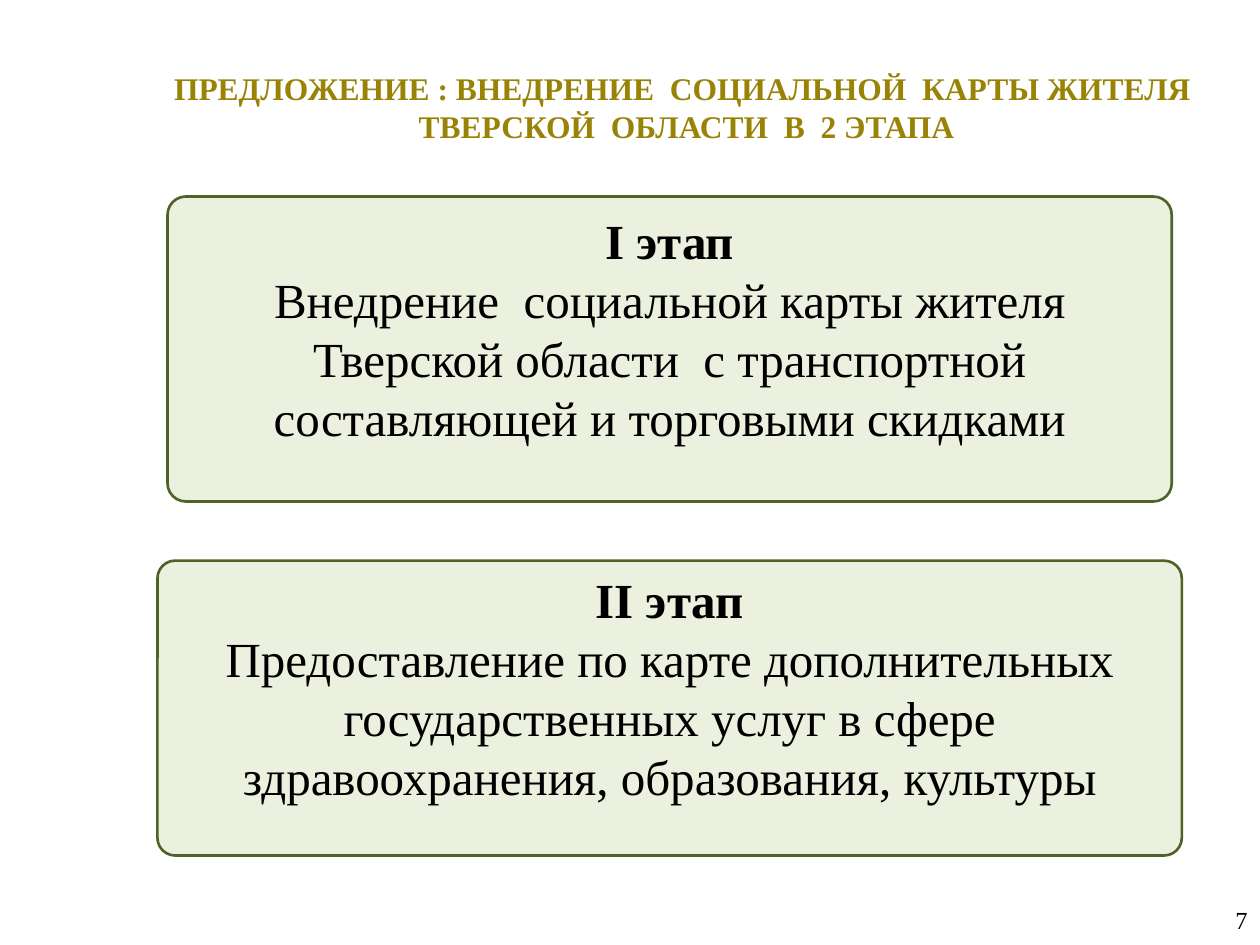
"""Build the slide on the two stages of the social card."""

from dataclasses import dataclass

from pptx import Presentation
from pptx.dml.color import RGBColor
from pptx.enum.shapes import MSO_SHAPE
from pptx.enum.text import MSO_ANCHOR, PP_ALIGN
from pptx.slide import Slide
from pptx.text.text import _Paragraph
from pptx.util import Inches, Pt

FONT = "Times New Roman"
GOLD = RGBColor(0x99, 0x83, 0x07)
BLACK = RGBColor(0, 0, 0)
PALE = RGBColor(0xEB, 0xF1, 0xDE)
GREEN = RGBColor(0x4F, 0x62, 0x28)


@dataclass
class Box:
    left: float
    top: float
    width: float
    height: float

    def area(self) -> tuple:
        return tuple(Inches(n) for n in (self.left, self.top, self.width, self.height))


@dataclass
class Stage:
    box: Box
    inset: float
    head: str
    body: str


STAGES = [
    Stage(Box(1.33, 1.56, 7.97, 2.42), 0.07, "I этап",
          "Внедрение  социальной карты жителя Тверской области  "
          "с транспортной составляющей и торговыми скидками"),
    Stage(Box(1.25, 4.45, 8.13, 2.34), 0.03, "II этап",
          "Предоставление по карте дополнительных государственных услуг "
          "в сфере здравоохранения, образования, культуры"),
]


def write(para: _Paragraph, text: str, size: int, color: RGBColor = BLACK,
          bold: bool = False, align: PP_ALIGN = PP_ALIGN.CENTER) -> None:
    para.text = text
    para.alignment = align
    font = para.font
    font.name, font.size, font.bold = FONT, Pt(size), bold
    font.color.rgb = color


def add_label(slide: Slide, box: Box, text: str, size: int, **style) -> None:
    frame = slide.shapes.add_textbox(*box.area()).text_frame
    frame.word_wrap = True
    write(frame.paragraphs[0], text, size, **style)


def add_stage(slide: Slide, stage: Stage) -> None:
    card = slide.shapes.add_shape(MSO_SHAPE.ROUNDED_RECTANGLE, *stage.box.area())
    card.adjustments[0] = 0.06
    card.shadow.inherit = False
    card.fill.solid()
    card.fill.fore_color.rgb = PALE
    card.line.color.rgb = GREEN
    card.line.width = Pt(1.5)
    frame = card.text_frame
    frame.word_wrap = True
    frame.vertical_anchor = MSO_ANCHOR.TOP
    frame.margin_top = Inches(stage.inset)
    write(frame.paragraphs[0], stage.head, 28, bold=True)
    write(frame.add_paragraph(), stage.body, 28)


def main() -> None:
    deck = Presentation()
    deck.slide_width, deck.slide_height = Inches(10), Inches(7.5)
    slide = deck.slides.add_slide(deck.slide_layouts[6])
    add_label(slide, Box(1.17, 0.5, 8.56, 0.71),
              "ПРЕДЛОЖЕНИЕ : ВНЕДРЕНИЕ  СОЦИАЛЬНОЙ  КАРТЫ ЖИТЕЛЯ  "
              "ТВЕРСКОЙ  ОБЛАСТИ  В  2 ЭТАПА", 18, color=GOLD, bold=True)
    for stage in STAGES:
        add_stage(slide, stage)
    add_label(slide, Box(7.67, 7.13, 2.33, 0.35), "7", 14, align=PP_ALIGN.RIGHT)
    deck.save("out.pptx")


if __name__ == "__main__":
    main()
